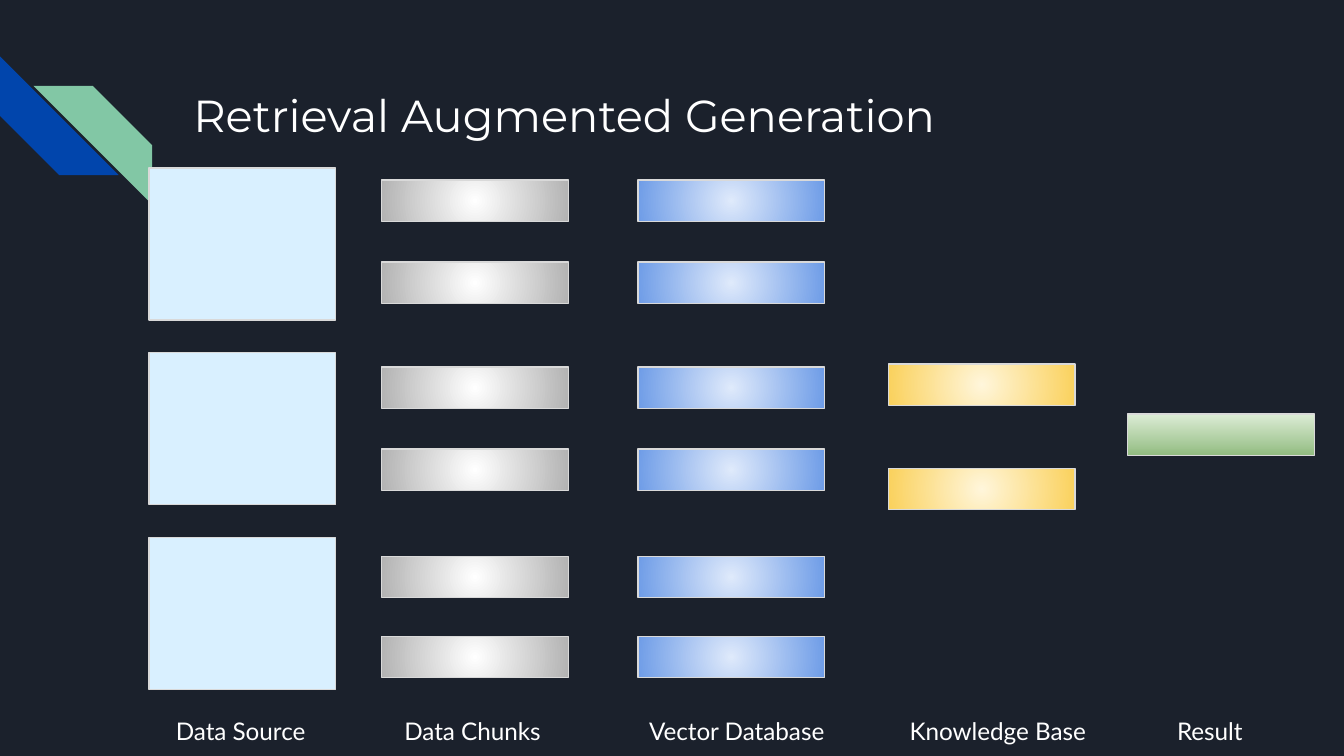
from dataclasses import dataclass

from lxml.etree import SubElement
from pptx import Presentation
from pptx.dml.color import RGBColor
from pptx.enum.shapes import MSO_SHAPE
from pptx.enum.text import MSO_ANCHOR
from pptx.oxml.ns import qn
from pptx.shapes.autoshape import Shape
from pptx.slide import Slide
from pptx.util import Pt

COLOURS = {
    "background": "1B212C",
    "blue stripe": "0145AC",
    "green stripe": "82C7A5",
    "text": "FFFFFF",
    "outline": "D9D9D9",
    "source": "D9F0FF",
    "chunk centre": "FFFFFF",
    "chunk edge": "B3B3B3",
    "vector centre": "DFEAFB",
    "vector edge": "6E9CE7",
    "knowledge centre": "FFF6DB",
    "knowledge edge": "FAD15C",
    "result top": "DCECD5",
    "result bottom": "92BC81",
}
BOX_WIDTH = 100
SOURCE_HEIGHT = 81.4
BAR_HEIGHT = 22.2
CHUNK_TOPS = (96.4, 140.4, 196.6, 240.5, 298, 340.9)
LABEL_TOP = 376.6


@dataclass(frozen=True)
class Stage:
    label: str
    label_left: float
    label_width: float
    left: float
    tops: tuple[float, ...]
    fill: tuple[str, ...]
    height: float = BAR_HEIGHT
    radial: bool = True


STAGES = (
    Stage("Data Source", 87.1, 103.7, 79.9, tuple(90 + 99 * row for row in range(3)),
          ("source",), height=SOURCE_HEIGHT),
    Stage("Data Chunks", 209.5, 92.2, 204.5, CHUNK_TOPS, ("chunk centre", "chunk edge")),
    Stage("Vector Database", 340.6, 118.8, 341.8, CHUNK_TOPS,
          ("vector centre", "vector edge")),
    Stage("Knowledge Base", 480.2, 128.9, 476, (194.9, 250.9),
          ("knowledge centre", "knowledge edge")),
    Stage("Result", 623.5, 70.6, 604.2, (221.8,), ("result top", "result bottom"),
          radial=False),
)


def colour(name: str) -> RGBColor:
    return RGBColor.from_string(COLOURS[name])


def add_shape(page: Slide, kind: MSO_SHAPE, left: float, top: float,
              width: float, height: float) -> Shape:
    shape = page.shapes.add_shape(kind, Pt(left), Pt(top), Pt(width), Pt(height))
    shape.shadow.inherit = False
    return shape


def fill_shape(shape: Shape, names: tuple[str, ...], radial: bool = False) -> None:
    """Fill with one colour, or with a gradient from the first to the second."""
    if len(names) == 1:
        shape.fill.solid()
        shape.fill.fore_color.rgb = colour(names[0])
        return
    shape.fill.gradient()
    shape.fill.gradient_angle = 270
    for stop, name in zip(shape.fill.gradient_stops, names):
        stop.color.rgb = colour(name)
    if radial:
        gradient = shape._element.spPr.find(qn("a:gradFill"))
        linear = gradient.find(qn("a:lin"))
        circle = SubElement(gradient, qn("a:path"), path="circle")
        SubElement(circle, qn("a:fillToRect"), {side: "50000" for side in "ltrb"})
        gradient.replace(linear, circle)


def add_stripe(page: Slide, left: float, top: float, name: str,
               rotation: float = 0, mirrored: bool = False) -> None:
    stripe = add_shape(page, MSO_SHAPE.DIAGONAL_STRIPE, left, top, 63.6, 63.6)
    stripe.adjustments[0] = 0.5
    stripe.rotation = rotation
    if mirrored:
        stripe._element.spPr.find(qn("a:xfrm")).set("flipH", "1")
    fill_shape(stripe, (name,))
    stripe.line.fill.background()


def add_text(page: Slide, text: str, *, left: float, top: float, width: float,
             height: float, font: str, size: float,
             line_spacing: float = 1, space_after: float = 0) -> None:
    box = page.shapes.add_textbox(Pt(left), Pt(top), Pt(width), Pt(height))
    frame = box.text_frame
    frame.word_wrap = True
    frame.vertical_anchor = MSO_ANCHOR.TOP
    frame.margin_left = frame.margin_right = Pt(7.2)
    frame.margin_top = frame.margin_bottom = Pt(7.2)
    para = frame.paragraphs[0]
    para.line_spacing = line_spacing
    para.space_after = Pt(space_after)
    span = para.add_run()
    span.text = text
    span.font.name = font
    span.font.size = Pt(size)
    span.font.color.rgb = colour("text")


def add_stage(page: Slide, stage: Stage) -> None:
    for top in stage.tops:
        box = add_shape(page, MSO_SHAPE.RECTANGLE, stage.left, top, BOX_WIDTH, stage.height)
        fill_shape(box, stage.fill, stage.radial)
        box.line.color.rgb = colour("outline")
        box.line.width = Pt(0.75)
    add_text(page, stage.label, left=stage.label_left, top=LABEL_TOP,
             width=stage.label_width, height=22.3, font="Lato", size=13)


def main() -> None:
    deck = Presentation()
    deck.slide_width, deck.slide_height = Pt(720), Pt(405)
    page = deck.slides.add_slide(deck.slide_layouts[6])
    page.background.fill.solid()
    page.background.fill.fore_color.rgb = colour("background")
    add_stripe(page, 0, 30.2, "blue stripe", rotation=270)
    add_stripe(page, 18, 46.1, "green stripe", mirrored=True)
    add_text(page, "Retrieval Augmented Generation", left=96.5, top=35.3, width=441.4,
             height=46.8, font="Montserrat", size=24, line_spacing=1.15, space_after=16)
    for stage in STAGES:
        add_stage(page, stage)
    deck.save("out.pptx")


if __name__ == "__main__":
    main()
